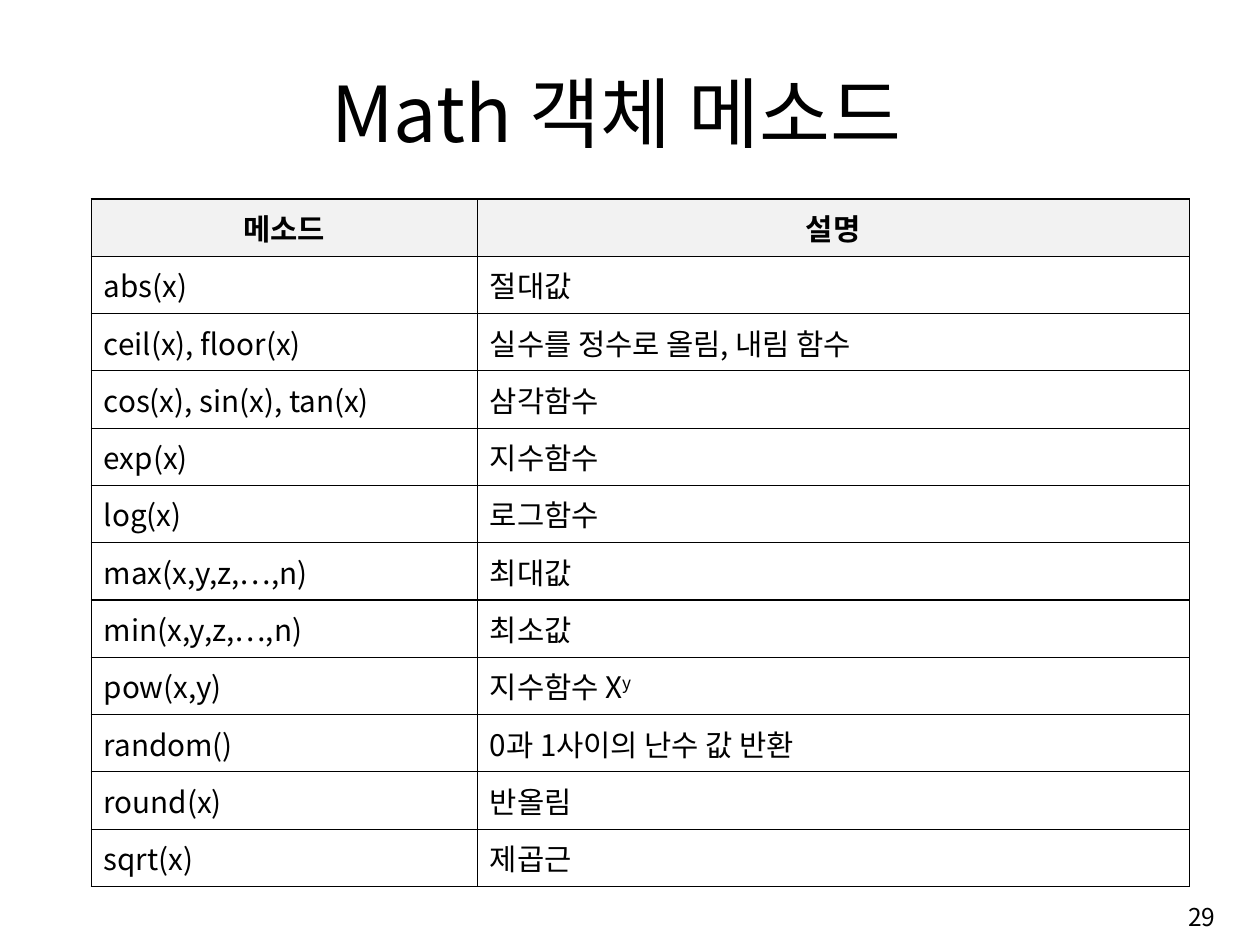
import lxml.etree
import pptx
import pptx.dml.color
import pptx.enum.text
import pptx.oxml.ns
import pptx.util

FONT = "Noto Sans CJK KR"
COLORS = {"ink": "000000", "head": "F2F2F2", "page": "FFFFFF"}
WIDE, HIGH = pptx.util.Inches(12.99), pptx.util.Inches(9.74)
ALIGN = pptx.enum.text.PP_ALIGN
MIDDLE = pptx.enum.text.MSO_ANCHOR.MIDDLE
PADS = {
    "margin_left": pptx.util.Inches(0.13),
    "margin_right": pptx.util.Inches(0.13),
    "margin_top": pptx.util.Inches(0.06),
    "margin_bottom": pptx.util.Inches(0.06),
    "vertical_anchor": MIDDLE,
}
COLS = (3.98, 7.34)
ROWS = (
    ("메소드", "설명"),
    ("abs(x)", "절대값"),
    ("ceil(x), floor(x)", "실수를 정수로 올림, 내림 함수"),
    ("cos(x), sin(x), tan(x)", "삼각함수"),
    ("exp(x)", "지수함수"),
    ("log(x)", "로그함수"),
    ("max(x,y,z,…,n)", "최대값"),
    ("min(x,y,z,…,n)", "최소값"),
    ("pow(x,y)", "지수함수 X^y"),
    ("random()", "0과 1사이의 난수 값 반환"),
    ("round(x)", "반올림"),
    ("sqrt(x)", "제곱근"),
)


def color(name):
    """Return a named colour."""
    return pptx.dml.color.RGBColor.from_string(COLORS[name])


def apply(item, form):
    """Set attributes from a dict of format values."""
    for key, value in form.items():
        setattr(item, key, value)


def place(left, top, wide, high):
    """Turn percentages of the slide into lengths."""
    return [round(part * side / 100) for part, side in
            ((left, WIDE), (top, HIGH), (wide, WIDE), (high, HIGH))]


def add_sub(parent, tag, **attrs):
    """Add a drawing element under a parent."""
    return lxml.etree.SubElement(parent, pptx.oxml.ns.qn(tag), attrs)


def write(frame, text, size, align, bold=False):
    """Write one paragraph, raising what follows a caret."""
    para = frame.paragraphs[0]
    para.alignment = align
    for level, part in enumerate(text.split("^")):
        run = para.add_run()
        run.text = part
        apply(run.font, {"name": FONT, "size": pptx.util.Pt(size), "bold": bold})
        run.font.color.rgb = color("ink")
        props = run._r.get_or_add_rPr()
        add_sub(props, "a:ea", typeface=FONT)
        if level:
            props.set("baseline", "30000")


def add_text(slide, box, text, size, align):
    """Add a wrapped text box."""
    frame = slide.shapes.add_textbox(*place(*box)).text_frame
    apply(frame, PADS | {"word_wrap": True})
    write(frame, text, size, align)


def add_edges(cell):
    """Draw a thin line on each side of a cell."""
    props = cell._tc.get_or_add_tcPr()
    for side in "LRTB":
        line = add_sub(props, "a:ln" + side, w=str(pptx.util.Pt(1)))
        add_sub(add_sub(line, "a:solidFill"), "a:srgbClr", val=COLORS["ink"])


def add_grid(slide, box):
    """Add the table of methods."""
    left, top, wide, high = place(*box)
    table = slide.shapes.add_table(len(ROWS), len(COLS), left, top, wide, high).table
    apply(table, {"first_row": False, "horz_banding": False})
    for col, share in zip(table.columns, COLS):
        col.width = round(wide * share / sum(COLS))
    for row, texts in enumerate(ROWS):
        table.rows[row].height = round(high / len(ROWS))
        head = row == 0
        for col, text in enumerate(texts):
            cell = table.cell(row, col)
            apply(cell, PADS)
            add_edges(cell)
            cell.fill.solid()
            cell.fill.fore_color.rgb = color("head" if head else "page")
            write(cell.text_frame, text, 22, ALIGN.CENTER if head else ALIGN.LEFT, head)


def main():
    """Build and save the slide."""
    deck = pptx.Presentation()
    apply(deck, {"slide_width": WIDE, "slide_height": HIGH})
    slide = deck.slides.add_slide(deck.slide_layouts[6])
    add_text(slide, (8.08, 6.26, 81.68, 11.09), "Math 객체 메소드", 57.2, ALIGN.CENTER)
    add_text(slide, (76.6, 93.94, 20.86, 6.16), "29", 18.2, ALIGN.RIGHT)
    add_grid(slide, (7.24, 21.05, 87.14, 72.79))
    deck.save("out.pptx")


if __name__ == "__main__":
    main()
